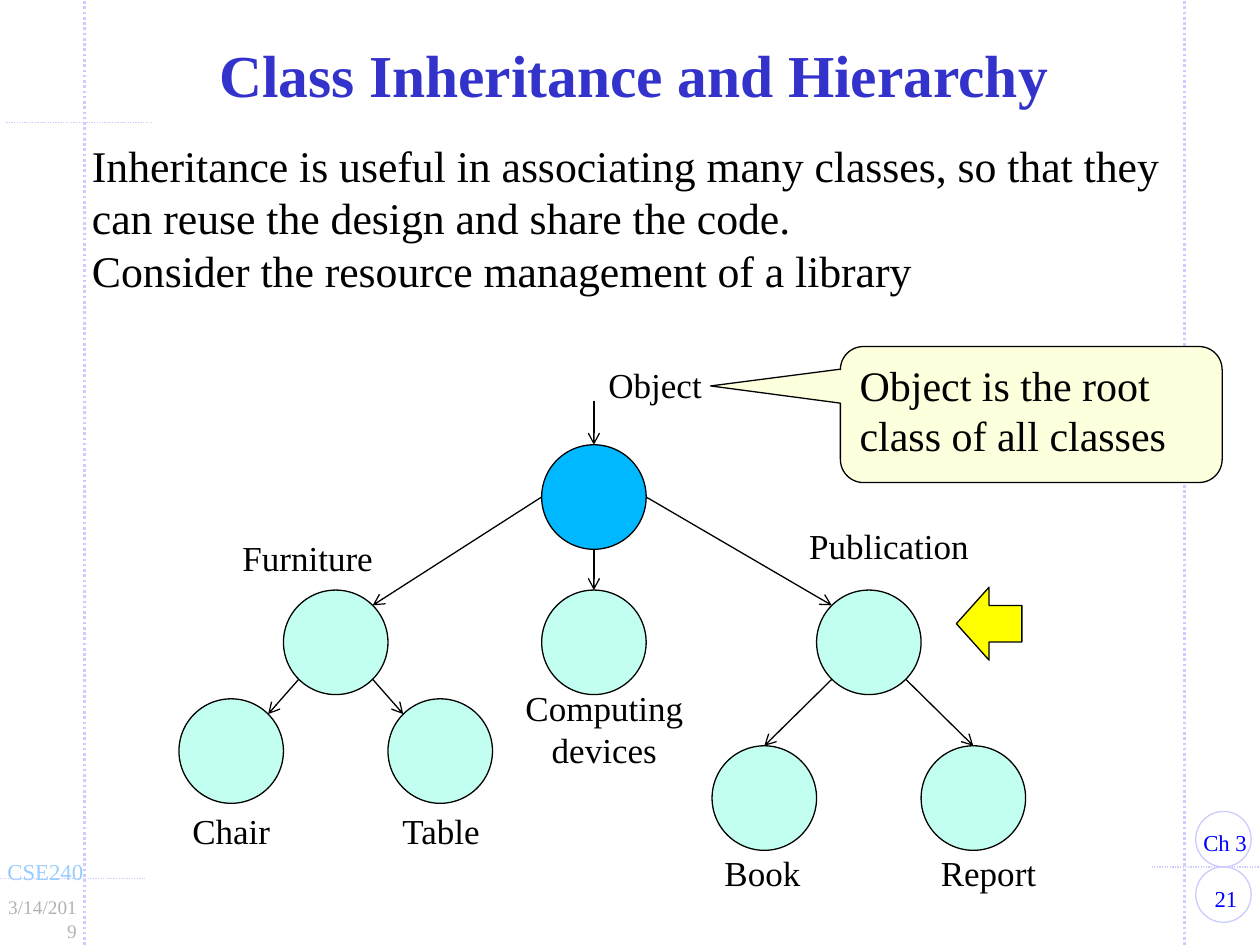
from collections import namedtuple
from math import sqrt

from lxml import etree
from pptx import Presentation
from pptx.dml.color import RGBColor
from pptx.enum.dml import MSO_LINE
from pptx.enum.shapes import MSO_CONNECTOR, MSO_SHAPE
from pptx.enum.text import MSO_ANCHOR, PP_ALIGN
from pptx.oxml.ns import qn
from pptx.util import Inches, Pt

LEFT, CENTER, RIGHT = PP_ALIGN.LEFT, PP_ALIGN.CENTER, PP_ALIGN.RIGHT
OVAL = MSO_SHAPE.OVAL
FONT = "Times New Roman"
BLACK, PALE_BLUE, MINT, SKY = "000000", "CCCCFF", "C2FFF0", "00B8FF"
WIDTH, HEIGHT = 10, 7.5

Box = namedtuple("Box", "left top width height")
Node = namedtuple("Node", "column row label label_dx label_dy align")

# Columns, rows and label offsets are counted in circle diameters.
NODES = {
    "root": Node(3.47, 0, "Object", 0.52, -0.84, LEFT),
    "furniture": Node(1, 1.39, "Furniture", -0.51, -0.57, LEFT),
    "computing": Node(3.47, 1.39, "Computing devices", -0.35, 0.86, CENTER),
    "publication": Node(6.1, 1.39, "Publication", -0.19, -0.69, LEFT),
    "chair": Node(0, 2.43, "Chair", 0.01, 1, LEFT),
    "table": Node(2, 2.43, "Table", 0.02, 1, LEFT),
    "book": Node(5.1, 2.88, "Book", 0, 0.95, LEFT),
    "report": Node(7.1, 2.88, "Report", 0.07, 0.95, LEFT),
}
EDGES = [
    ("root", "W", "furniture", "NE"),
    ("root", "S", "computing", "N"),
    ("root", "E", "publication", "NW"),
    ("furniture", "SW", "chair", "NE"),
    ("furniture", "SE", "table", "NW"),
    ("publication", "SW", "book", "N"),
    ("publication", "SE", "report", "N"),
]


def color(value):
    return RGBColor.from_string(value)


def inches(box):
    return [Inches(length) for length in box]


def set_text(shape, lines, size, ink, align=LEFT, bold=False, inset=None):
    """Fill a shape with paragraphs; inset is (left, right) in inches."""
    frame = shape.text_frame
    frame.text = "\n".join(lines)
    frame.word_wrap = True
    frame.vertical_anchor = MSO_ANCHOR.TOP
    if inset:
        frame.margin_left, frame.margin_right = map(Inches, inset)
    for para in frame.paragraphs:
        para.alignment = align
        for span in para.runs:
            span.font.name = FONT
            span.font.size = Pt(size)
            span.font.bold = bold
            span.font.color.rgb = color(ink)


def add_text(page, box, lines, size, ink, **options):
    set_text(page.shapes.add_textbox(*inches(box)), lines, size, ink, **options)


def add_preset(page, kind, box, fill=None, line=BLACK):
    shape = page.shapes.add_shape(kind, *inches(box))
    shape.shadow.inherit = False
    if fill:
        shape.fill.solid()
        shape.fill.fore_color.rgb = color(fill)
    else:
        shape.fill.background()
    shape.line.color.rgb = color(line)
    shape.line.width = Pt(0.75)
    return shape


def add_line(page, start, end, ink=BLACK, width=0.75, dotted=False, arrow=False):
    line = page.shapes.add_connector(MSO_CONNECTOR.STRAIGHT, *inches(start + end))
    line.line.color.rgb = color(ink)
    line.line.width = Pt(width)
    if dotted:
        line.line.dash_style = MSO_LINE.ROUND_DOT
    if arrow:
        outline = line.line._get_or_add_ln()
        etree.SubElement(outline, qn("a:tailEnd"), type="arrow")
    etree.SubElement(line._element.spPr, qn("a:effectLst"))


def draw_frame(page):
    """Dotted guide lines along the slide's edges."""
    for x in (0.067 * WIDTH, 0.94 * WIDTH):
        add_line(page, (x, HEIGHT), (x, 0), PALE_BLUE, 1.5, dotted=True)
    for left, right, y in ((0.05, 1.2, 0.97), (0, 1.15, 6.97), (9.14, 10.05, 6.88)):
        add_line(page, (left, y), (right, y), PALE_BLUE, dotted=True)


def draw_course_mark(page, box):
    line = box.height / 2
    add_text(page, Box(box.left + 0.06, box.top, box.width, line),
             ["CSE240"], 13, "99CCFF", inset=(0.11, 0))
    add_text(page, Box(box.left, box.top + line, box.width, line),
             ["3/14/2019"], 11, "B2B2B2", align=RIGHT, inset=(0.11, 0.11))


def draw_page_mark(page, box):
    """Two stacked circles holding the chapter and the page number."""
    size = box.height / 2
    marks = (("Ch 3", LEFT, (0.11, 0)), ("21", CENTER, (0.11, 0.11)))
    for row, (label, align, inset) in enumerate(marks):
        top = box.top + row * size
        add_preset(page, OVAL, Box(box.left, top, size, size), line=PALE_BLUE)
        add_text(page, Box(box.left - 0.05, top + 0.09, 0.58, 0.32),
                 [label], 13, "0000FF", align=align, inset=inset)


def draw_title(page, box, wording):
    title = page.shapes.title
    title.left, title.top, title.width, title.height = inches(box)
    set_text(title, [wording], 34, "3333CC", align=CENTER, bold=True,
             inset=(0.11, 0.11))
    title.text_frame.vertical_anchor = MSO_ANCHOR.MIDDLE
    title.text_frame.paragraphs[0].line_spacing = 0.85


def rim_point(circle, side):
    """Point on a circle's rim in a compass direction."""
    dx = ("E" in side) - ("W" in side)
    dy = ("S" in side) - ("N" in side)
    radius = circle.width / 2
    reach = radius / sqrt(dx * dx + dy * dy)
    return (circle.left + radius + dx * reach, circle.top + radius + dy * reach)


def draw_tree(page, box):
    size = box.width / 8.1
    circles = {}
    for name, node in NODES.items():
        circle = Box(box.left + node.column * size, box.top + node.row * size,
                     size, size)
        circles[name] = circle
        add_preset(page, OVAL, circle, SKY if name == "root" else MINT)
        label = Box(circle.left + node.label_dx * size,
                    circle.top + node.label_dy * size, 1.9 * size, 0.5 * size)
        add_text(page, label, [node.label], 20, BLACK, align=node.align)
    for parent, start, child, end in EDGES:
        add_line(page, rim_point(circles[parent], start),
                 rim_point(circles[child], end), arrow=True)
    x, y = rim_point(circles["root"], "N")
    add_line(page, (x, y - 0.42 * size), (x, y), arrow=True)


def draw_callout(page, box, wording):
    callout = add_preset(page, MSO_SHAPE.ROUNDED_RECTANGULAR_CALLOUT, box, "FDFFDD")
    for index, value in enumerate((-0.84, -0.21, 0.17)):
        callout.adjustments[index] = value
    set_text(callout, [wording], 24, BLACK)


def main():
    deck = Presentation()
    deck.slide_width, deck.slide_height = Inches(WIDTH), Inches(HEIGHT)
    page = deck.slides.add_slide(deck.slide_layouts[5])
    draw_frame(page)
    draw_course_mark(page, Box(-0.11, 6.76, 0.83, 0.6))
    draw_page_mark(page, Box(9.49, 6.44, 0.44, 0.88))
    draw_title(page, Box(0.62, 0.28, 8.82, 0.7), "Class Inheritance and Hierarchy")
    add_text(page, Box(0.62, 1.05, 9.08, 1.37), [
        "Inheritance is useful in associating many classes, so that they can "
        "reuse the design and share the code.",
        "Consider the resource management of a library",
    ], 25, BLACK, inset=(0.11, 0.11))
    draw_tree(page, Box(1.42, 3.53, 6.72, 3.22))
    draw_callout(page, Box(6.67, 2.75, 3.03, 1.08),
                 "Object is the root class of all classes")
    add_preset(page, MSO_SHAPE.LEFT_ARROW, Box(7.59, 4.66, 0.52, 0.58), "FFFF00")
    deck.save("out.pptx")


if __name__ == "__main__":
    main()
